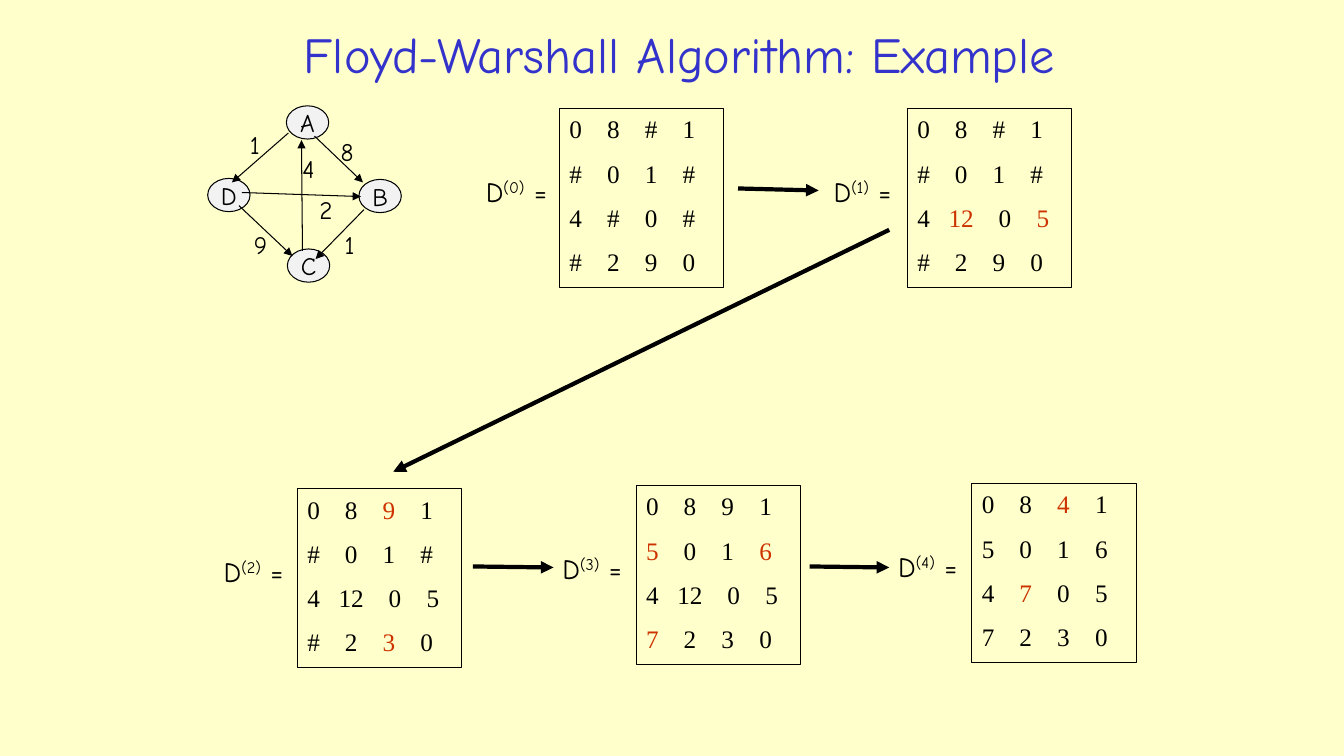
from dataclasses import dataclass

from lxml import etree
from pptx import Presentation
from pptx import util as u
from pptx.dml.color import RGBColor
from pptx.enum import shapes, text
from pptx.oxml import ns


@dataclass(frozen=True)
class Theme:
    paper: RGBColor = RGBColor(0xFF, 0xFF, 0xCC)
    title: RGBColor = RGBColor(0x33, 0x33, 0xCC)
    ink: RGBColor = RGBColor(0, 0, 0)
    changed: RGBColor = RGBColor(0xCC, 0x33, 0x00)
    node: RGBColor = RGBColor(0xF2, 0xF2, 0xF2)
    hand: str = "Comic Neue"
    serif: str = "Times New Roman"
    title_size: int = 36
    label_size: int = 20
    body_size: int = 18
    row_gap: int = 10
    thin: float = 0.75
    thick: float = 3


THEME = Theme()

# Offsets within the graph box.
NODES = {"A": (0.78, 0), "B": (1.5, 0.73), "D": (0, 0.72), "C": (0.79, 1.42)}
EDGES = [
    ((1.06, 0.3), (1.54, 0.76)),
    ((0.31, 0.99), (0.84, 1.49)),
    ((0.34, 0.86), (1.52, 0.9)),
    ((1.55, 1.03), (1.07, 1.52)),
    ((0.8, 0.27), (0.24, 0.76)),
    ((0.94, 1.44), (0.93, 0.34)),
]
WEIGHTS = [
    ("1", 0.32, 0.18), ("8", 1.22, 0.25), ("4", 0.84, 0.42),
    ("2", 1.01, 0.83), ("1", 1.26, 1.18), ("9", 0.36, 1.18),
]

# Matrix box position and rows; * marks an entry that has just changed.
STEPS = [
    (5.55, 1.08, ["0 8 # 1", "# 0 1 #", "4 # 0 #", "# 2 9 0"]),
    (9, 1.08, ["0 8 # 1", "# 0 1 #", "4 *12 0 *5", "# 2 9 0"]),
    (2.95, 4.85, ["0 8 *9 1", "# 0 1 #", "4 12 0 5", "# 2 *3 0"]),
    (6.31, 4.82, ["0 8 9 1", "*5 0 1 *6", "4 12 0 5", "*7 2 3 0"]),
    (9.64, 4.8, ["0 8 *4 1", "5 0 1 6", "4 *7 0 5", "7 2 3 0"]),
]
STEP_ARROWS = [
    ((4.69, 5.62), (5.49, 5.63)),
    ((8.03, 5.62), (8.82, 5.63)),
    ((7.32, 1.87), (8.12, 1.89)),
    ((8.82, 2.28), (3.9, 4.68)),
]


def add_span(para, content, size=THEME.body_size, color=THEME.ink, face=THEME.hand):
    span = para.add_run()
    span.text = content
    span.font.size = u.Pt(size)
    span.font.name = face
    span.font.color.rgb = color
    return span


def add_label(parts, left, top, width, height):
    box = parts.add_textbox(*map(u.Inches, (left, top, width, height)))
    box.text_frame.word_wrap = True
    return box.text_frame.paragraphs[0]


def add_outlined(parts, kind, left, top, width, height):
    box = parts.add_shape(kind, *map(u.Inches, (left, top, width, height)))
    box.shadow.inherit = False
    box.line.color.rgb = THEME.ink
    box.line.width = u.Pt(THEME.thin)
    return box


def add_arrow(parts, start, end, weight):
    arrow = parts.add_connector(
        shapes.MSO_CONNECTOR.STRAIGHT, *map(u.Inches, (*start, *end)))
    arrow.line.color.rgb = THEME.ink
    arrow.line.width = u.Pt(weight)
    line = arrow.line._get_or_add_ln()
    etree.SubElement(line, ns.qn("a:tailEnd"), type="triangle")
    etree.SubElement(arrow._element.spPr, ns.qn("a:effectLst"))


def add_title(page, left, top, width, height):
    title = page.shapes.title
    title.left, title.top, title.width, title.height = map(
        u.Inches, (left, top, width, height))
    frame = title.text_frame
    frame.vertical_anchor = text.MSO_ANCHOR.MIDDLE
    para = frame.paragraphs[0]
    para.alignment = text.PP_ALIGN.CENTER
    add_span(para, "Floyd-Warshall Algorithm: Example", THEME.title_size, THEME.title)


def add_graph(page, left, top):
    parts = page.shapes
    for name, (x, y) in NODES.items():
        node = add_outlined(
            parts, shapes.MSO_SHAPE.OVAL, left + x, top + y, 0.42, 0.33)
        node.fill.solid()
        node.fill.fore_color.rgb = THEME.node
        frame = node.text_frame
        frame.word_wrap = False
        frame.vertical_anchor = text.MSO_ANCHOR.MIDDLE
        frame.paragraphs[0].alignment = text.PP_ALIGN.CENTER
        add_span(frame.paragraphs[0], name)
    for start, end in EDGES:
        ends = [(left + x, top + y) for x, y in (start, end)]
        add_arrow(parts, *ends, THEME.thin)
    for weight, x, y in WEIGHTS:
        add_span(add_label(parts, left + x, top + y, 0.35, 0.4), weight)


def add_row(para, entries):
    """Set entries on centred tabs; a two-digit entry pushes later ones right."""
    stops = etree.SubElement(para._p.get_or_add_pPr(), ns.qn("a:tabLst"))
    push = 0
    for column, entry in enumerate(entries):
        digits = entry.lstrip("*")
        if column:
            stop = u.Inches(0.06 + 0.375 * column + push)
            etree.SubElement(stops, ns.qn("a:tab"), pos=str(int(stop)), algn="ctr")
            add_span(para, "\t", face=THEME.serif)
        color = THEME.changed if entry != digits else THEME.ink
        add_span(para, digits, color=color, face=THEME.serif)
        push += 0.06 * (len(digits) - 1)


def add_step(page, number, left, top, rows):
    """Place one distance matrix with its label to the left."""
    parts = page.shapes.add_group_shape().shapes
    matrix = add_outlined(parts, shapes.MSO_SHAPE.RECTANGLE, left, top, 1.63, 1.77)
    matrix.fill.background()
    frame = matrix.text_frame
    frame.word_wrap = True
    frame.vertical_anchor = text.MSO_ANCHOR.TOP
    for index, row in enumerate(rows):
        para = frame.add_paragraph() if index else frame.paragraphs[0]
        add_row(para, row.split())
        para.alignment = text.PP_ALIGN.LEFT
        if index:
            para.space_before = u.Pt(THEME.row_gap)
    label = add_label(parts, left - 0.83, top + 0.6, 0.96, 0.44)
    add_span(label, "D", THEME.label_size)
    power = add_span(label, f"({number})", THEME.label_size)
    power._r.get_or_add_rPr().set("baseline", "30000")
    add_span(label, " =", THEME.label_size)


def main():
    deck = Presentation()
    deck.slide_width, deck.slide_height = u.Inches(13.33), u.Inches(7.5)
    page = deck.slides.add_slide(deck.slide_layouts.get_by_name("Title Only"))
    page.background.fill.solid()
    page.background.fill.fore_color.rgb = THEME.paper
    add_title(page, 1.97, 0.15, 9.54, 0.76)
    add_graph(page, 2.06, 1.05)
    for number, (left, top, rows) in enumerate(STEPS):
        add_step(page, number, left, top, rows)
    for start, end in STEP_ARROWS:
        add_arrow(page.shapes, start, end, THEME.thick)
    deck.save("out.pptx")


if __name__ == "__main__":
    main()
